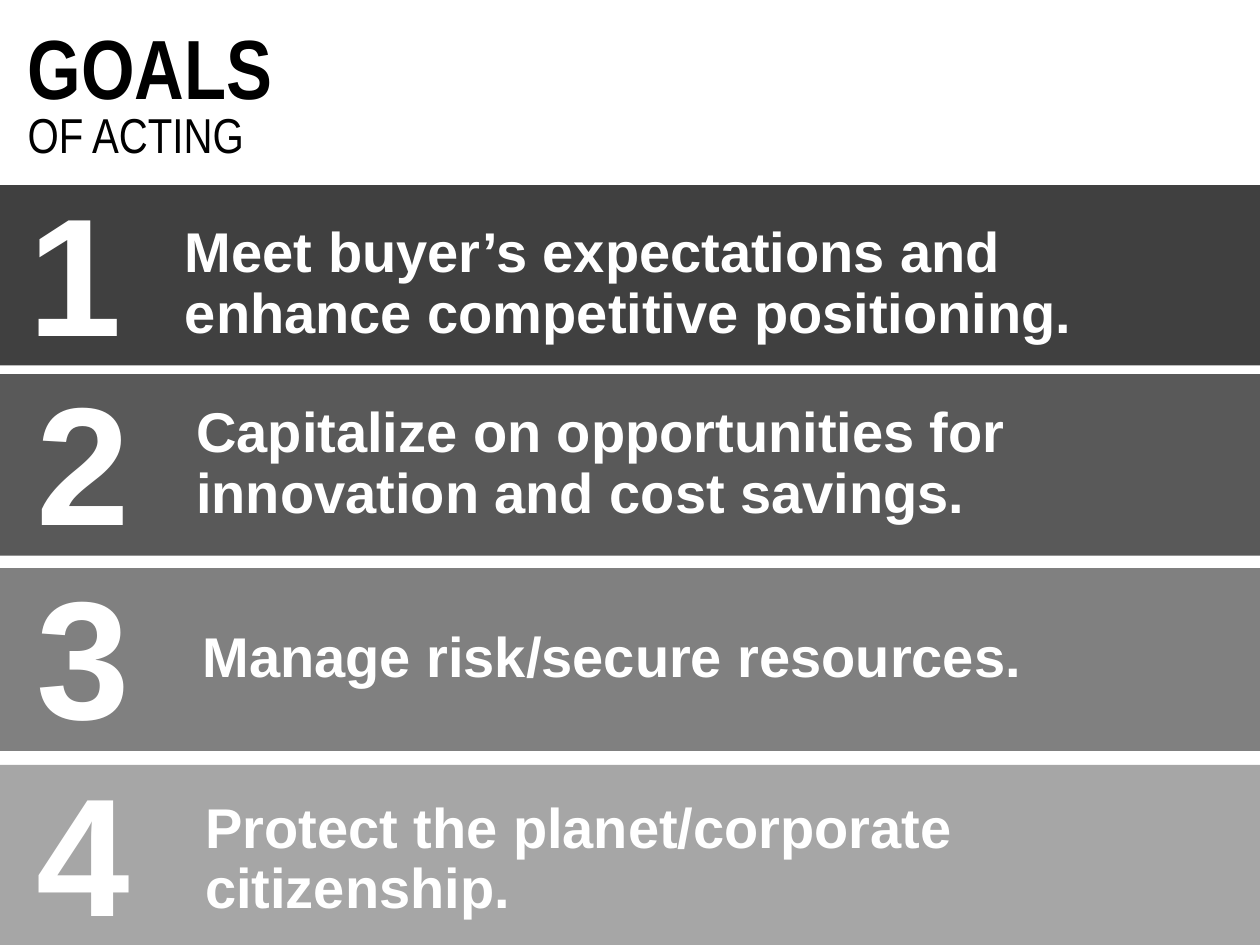
from dataclasses import dataclass

from pptx import Presentation
from pptx.dml.color import RGBColor
from pptx.enum.shapes import MSO_SHAPE
from pptx.enum.text import MSO_AUTO_SIZE
from pptx.slide import Slide
from pptx.util import Inches, Pt

RECTANGLE = MSO_SHAPE.RECTANGLE
FIT_SHAPE = MSO_AUTO_SIZE.SHAPE_TO_FIT_TEXT
SLIDE_WIDTH = 10
SLIDE_HEIGHT = 7.5
WHITE = "FFFFFF"
BLACK = "000000"


@dataclass
class Line:
    text: str
    size: float
    color: str = WHITE
    font: str = "Arial"
    bold: bool = True


@dataclass
class Box:
    left: float
    top: float
    width: float
    height: float


@dataclass
class Goal:
    text: str
    fill: str
    top: float
    height: float
    number_left: float
    text_box: Box


GOALS = [
    Goal("Meet buyer’s expectations and enhance competitive positioning.",
         "404040", 1.47, 1.43, 0.13, Box(1.37, 1.73, 8.5, 1.07)),
    Goal("Capitalize on opportunities for innovation and cost savings.",
         "595959", 2.97, 1.44, 0.19, Box(1.46, 3.16, 8.5, 1.08)),
    Goal("Manage risk/secure resources.",
         "808080", 4.51, 1.45, 0.19, Box(1.51, 4.94, 8.5, 0.59)),
    Goal("Protect the planet/corporate citizenship.",
         "A6A6A6", 6.07, 1.43, 0.19, Box(1.53, 6.3, 8.5, 1.07)),
]
TITLE = [
    Line("GOALS", 48, BLACK, "Arial Narrow"),
    Line("OF ACTING", 28, BLACK, "Arial Narrow", False),
]


def color(value: str) -> RGBColor:
    return RGBColor.from_string(value)


def add_band(slide: Slide, goal: Goal) -> None:
    shape = slide.shapes.add_shape(
        RECTANGLE, 0, Inches(goal.top), Inches(SLIDE_WIDTH), Inches(goal.height))
    shape.shadow.inherit = False
    shape.fill.solid()
    shape.fill.fore_color.rgb = color(goal.fill)
    shape.line.fill.background()


def add_text(slide: Slide, box: Box, lines: list[Line], spacing: float) -> None:
    shape = slide.shapes.add_textbox(
        Inches(box.left), Inches(box.top), Inches(box.width), Inches(box.height))
    frame = shape.text_frame
    frame.word_wrap = True
    frame.auto_size = FIT_SHAPE
    for index, line in enumerate(lines):
        paragraph = frame.add_paragraph() if index else frame.paragraphs[0]
        paragraph.text = line.text
        paragraph.line_spacing = spacing
        paragraph.font.name = line.font
        paragraph.font.size = Pt(line.size)
        paragraph.font.bold = line.bold
        paragraph.font.color.rgb = color(line.color)


def main() -> None:
    presentation = Presentation()
    presentation.slide_width = Inches(SLIDE_WIDTH)
    presentation.slide_height = Inches(SLIDE_HEIGHT)
    slide = presentation.slides.add_slide(presentation.slide_layouts[6])
    add_text(slide, Box(0.12, 0.23, 3.61, 1.12), TITLE, 0.8)
    for number, goal in enumerate(GOALS, start=1):
        add_band(slide, goal)
        number_box = Box(goal.number_left, goal.top + 0.13, 1.32, 1.39)
        add_text(slide, number_box, [Line(str(number), 96)], 0.8)
        add_text(slide, goal.text_box, [Line(goal.text, 32)], 0.9)
    presentation.save("out.pptx")


if __name__ == "__main__":
    main()
